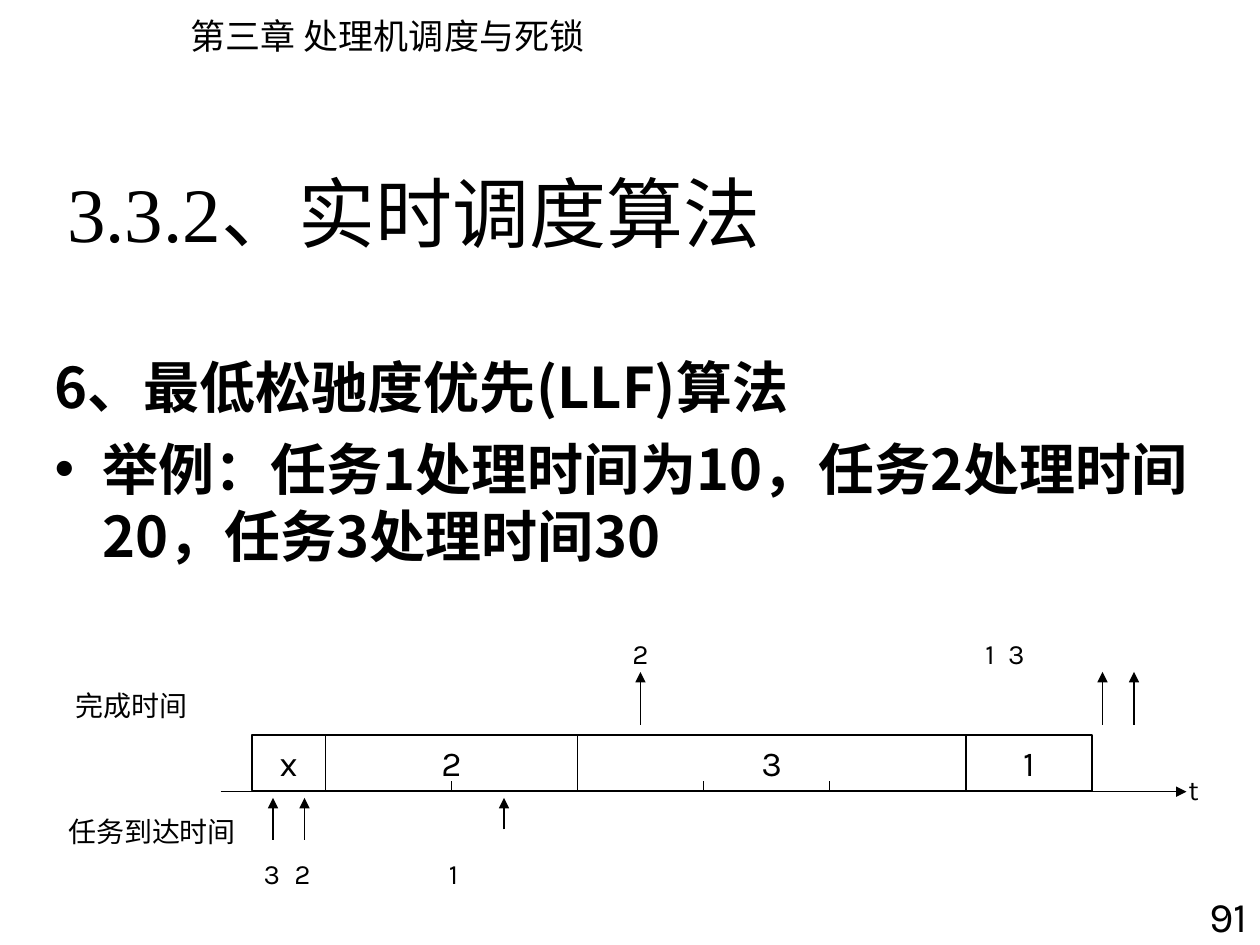
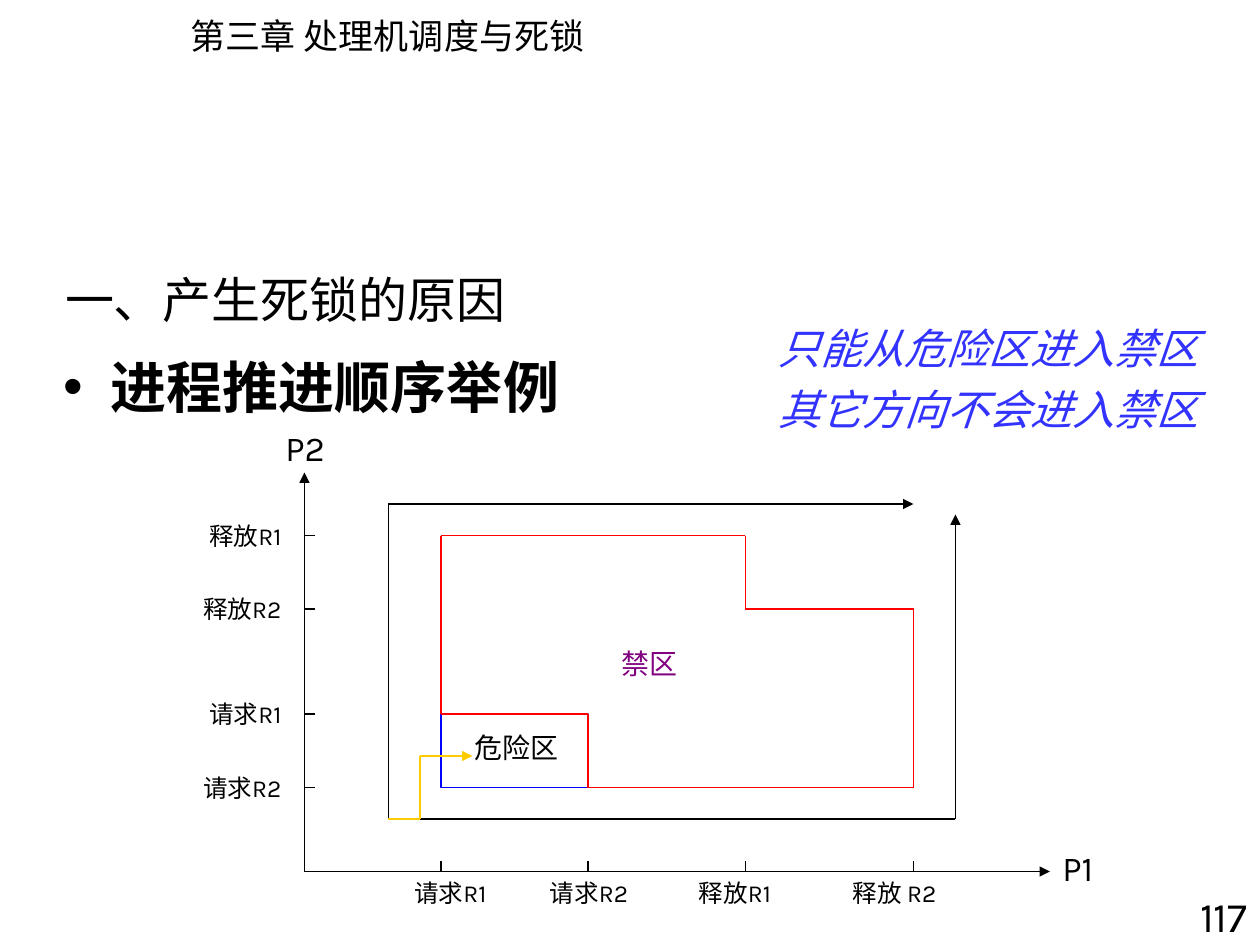
import itertools

import pptx
import pptx.dml.color
import pptx.enum.shapes
import pptx.enum.text
import pptx.oxml
import pptx.oxml.ns
import pptx.util

ALIGN = pptx.enum.text.PP_ALIGN
MIDDLE = pptx.enum.text.MSO_ANCHOR.MIDDLE
TOP = pptx.enum.text.MSO_ANCHOR.TOP
RECTANGLE = pptx.enum.shapes.MSO_SHAPE.RECTANGLE
STRAIGHT = pptx.enum.shapes.MSO_CONNECTOR.STRAIGHT
hex_color = pptx.dml.color.RGBColor.from_string
namespace = pptx.oxml.ns.nsdecls("a")
BLACK, RED, BLUE, GOLD, PURPLE, NOTE_BLUE = "000000", "FF0000", "0000FF", "FFCC00", "800080", "3333FF"
CJK = "Noto Sans CJK SC"
HEADING = {"name": CJK, "size": pptx.util.Pt(32), "bold": True}
PAGE, CELL, SMALL, TICK = [{"name": "Karla", "size": pptx.util.Pt(size)} for size in (24, 20, 16, 14)]

deck = pptx.Presentation()
deck.slide_width = pptx.util.Inches(10)
deck.slide_height = pptx.util.Inches(7.5)
COLUMN = deck.slide_width / 120
ROW = deck.slide_height / 90


def write(shape, box, lines, style, color=BLACK, align=ALIGN.LEFT, anchor=MIDDLE,
          gap=0, inset=0.1, bullets=()):
    left, top, width, height = box
    place = {"left": left * COLUMN, "top": top * ROW, "width": width * COLUMN, "height": height * ROW}
    for key, value in place.items():
        setattr(shape, key, round(value))
    frame = shape.text_frame
    side, edge = pptx.util.Inches(inset), pptx.util.Inches(0.05)
    layout_values = {"word_wrap": True, "auto_size": pptx.enum.text.MSO_AUTO_SIZE.NONE,
                     "vertical_anchor": anchor, "margin_left": side, "margin_right": side,
                     "margin_top": edge, "margin_bottom": edge}
    for key, value in layout_values.items():
        setattr(frame, key, value)
    for index, line in enumerate(lines):
        paragraph = frame.paragraphs[0] if index == 0 else frame.add_paragraph()
        paragraph.alignment = align
        paragraph.space_before = pptx.util.Pt(gap if index else 0)
        if bullets:
            properties = paragraph._p.get_or_add_pPr()
            hang = pptx.util.Inches(0.38)
            properties.set("marL", str(hang))
            properties.set("indent", str(-hang))
            mark = 'buChar {} char="•"' if bullets[index] else "buNone {}"
            properties.append(pptx.oxml.parse_xml(f"<a:{mark.format(namespace)}/>"))
        run = paragraph.add_run()
        run.text = line
        for key, value in style.items():
            setattr(run.font, key, value)
        run.font.color.rgb = hex_color(color)
        run._r.get_or_add_rPr().append(pptx.oxml.parse_xml(f'<a:ea {namespace} typeface="{CJK}"/>'))


def trace(slide, points, color=BLACK, arrow=False):
    for start, end in itertools.pairwise(points):
        ends = [round(value * unit) for value, unit in zip(start + end, (COLUMN, ROW) * 2)]
        segment = slide.shapes.add_connector(STRAIGHT, *ends)
        segment.line.color.rgb = hex_color(color)
        segment.line.width = pptx.util.Pt(0.75)
        properties = segment._element.spPr
        if arrow and end == points[-1]:
            outline = properties.find(pptx.oxml.ns.qn("a:ln"))
            outline.append(pptx.oxml.parse_xml(f'<a:tailEnd {namespace} type="triangle"/>'))
        properties.append(pptx.oxml.parse_xml(f"<a:effectLst {namespace}/>"))


layout = deck.slide_layouts[1]
pages = [
    ("3.3.2、实时调度算法", (5.2, 15.7, 108, 9), {"name": "Times New Roman", "size": pptx.util.Pt(44)},
     ["6、最低松驰度优先(LLF)算法", "举例：任务1处理时间为10，任务2处理时间20，任务3处理时间30"],
     (4, 33, 116, 30), (False, True), 0.1, "91"),
    ("一、产生死锁的原因", (5, 24, 108, 9), {"name": CJK, "size": pptx.util.Pt(28)},
     ["进程推进顺序举例"], (6, 33, 114, 11), (True,), 0, "117"),
]
for title, title_box, title_style, points, body_box, bullets, inset, number in pages:
    slide = deck.slides.add_slide(layout)
    write(slide.shapes.title, title_box, [title], title_style)
    write(slide.placeholders[1], body_box, points, HEADING, anchor=TOP, gap=8, inset=inset, bullets=bullets)
    write(slide.shapes.add_textbox(0, 0, 0, 0), (108, 83.9, 12, 6.7), [number], PAGE, align=ALIGN.RIGHT)
scheduling, deadlock = deck.slides

chapter = scheduling.shapes.add_textbox(0, 0, 0, 0)
write(chapter, (17, 0.7, 41, 5.3), ["第三章 处理机调度与死锁"],
      {"name": "Noto Sans CJK JP", "size": pptx.util.Pt(20)})
layout.shapes.element.append(chapter._element)

TIME_AXIS = 75.4
task_edges = (24, 31, 55, 92, 104)
for task, (start, end) in zip("x231", itertools.pairwise(task_edges)):
    block = scheduling.shapes.add_shape(RECTANGLE, 0, 0, 0, 0)
    block.shadow.inherit = False
    block.fill.background()
    block.line.color.rgb = hex_color(BLACK)
    block.line.width = pptx.util.Pt(0.75)
    write(block, (start, 70, end - start, 5.3), [task], CELL, align=ALIGN.CENTER)
trace(scheduling, [(21, TIME_AXIS), (113, TIME_AXIS)], arrow=True)
for column in (*range(31, 80, 12), 92, 104):
    trace(scheduling, [(column, 74.4), (column, TIME_AXIS)])
for column, tail, tip in ((26, 80, 76), (29, 80, 76), (48, 79, 76),
                          (61, 69, 64), (105, 69, 64), (108, 69, 64)):
    trace(scheduling, [(column, tail), (column, tip)], arrow=True)
for task, center, top in (("2", 61, 60), ("1", 94.3, 60), ("3", 96.8, 60),
                          ("3", 25.9, 81), ("2", 28.8, 81), ("1", 43.2, 81)):
    write(scheduling.shapes.add_textbox(0, 0, 0, 0), (center - 1.2, top, 2.4, 4.4), [task], SMALL,
          align=ALIGN.CENTER, inset=0)
for caption, box, align in (("完成时间", (6, 65, 19, 4.4), ALIGN.LEFT),
                            ("任务到达时间", (5, 77, 19, 4.4), ALIGN.CENTER),
                            ("t", (112, 73, 5, 4.4), ALIGN.LEFT)):
    write(scheduling.shapes.add_textbox(0, 0, 0, 0), box, [caption], SMALL, align=align)

ORIGIN_X, ORIGIN_Y = 29, 83
for axis_end in ((100, ORIGIN_Y), (ORIGIN_X, 45)):
    trace(deadlock, [(ORIGIN_X, ORIGIN_Y), axis_end], arrow=True)
for event, column, center in (("请求R1", 42, 42.9), ("请求R2", 56, 56.1),
                              ("释放R1", 71, 70), ("释放 R2", 87, 85.2)):
    trace(deadlock, [(column, ORIGIN_Y - 1), (column, ORIGIN_Y)])
    write(deadlock.shapes.add_textbox(0, 0, 0, 0), (center - 6, ORIGIN_Y, 12, 4), [event], TICK,
          align=ALIGN.CENTER)
for event, row in (("释放R1", 51), ("释放R2", 58), ("请求R1", 68), ("请求R2", 75)):
    trace(deadlock, [(ORIGIN_X, row), (ORIGIN_X + 1, row)])
    write(deadlock.shapes.add_textbox(0, 0, 0, 0), (17, row - 2, 11, 4), [event], TICK, align=ALIGN.RIGHT)

danger = deadlock.shapes.add_shape(RECTANGLE, *[round(v) for v in (42 * COLUMN, 68 * ROW, 14 * COLUMN, 7 * ROW)])
danger.shadow.inherit = False
danger.fill.background()
danger.line.color.rgb = hex_color(BLUE)
danger.line.width = pptx.util.Pt(0.75)
forbidden = [(42, 68), (42, 51), (71, 51), (71, 58), (87, 58), (87, 75), (56, 75), (56, 68), (42, 68)]
trace(deadlock, forbidden, RED)
for route, color in (([(37, 78), (91, 78), (91, 49)], BLACK),
                     ([(37, 78), (37, 48), (87, 48)], BLACK),
                     ([(37, 78), (40, 78), (40, 72), (45, 72)], GOLD)):
    trace(deadlock, route, color, arrow=True)
for caption, box, style, color in (("P1", (100, 80, 7, 5.3), CELL, BLACK),
                                   ("P2", (26, 40, 7, 5.3), CELL, BLACK),
                                   ("危险区", (44, 69, 11, 4.4), SMALL, BLACK),
                                   ("禁区", (58, 61, 11, 4.4), SMALL, PURPLE)):
    write(deadlock.shapes.add_textbox(0, 0, 0, 0), box, [caption], style, color)
write(deadlock.shapes.add_textbox(0, 0, 0, 0), (73, 30, 43, 12),
      ["只能从危险区进入禁区", "其它方向不会进入禁区"], PAGE | {"italic": True}, NOTE_BLUE, gap=6)

deck.save("out.pptx")
